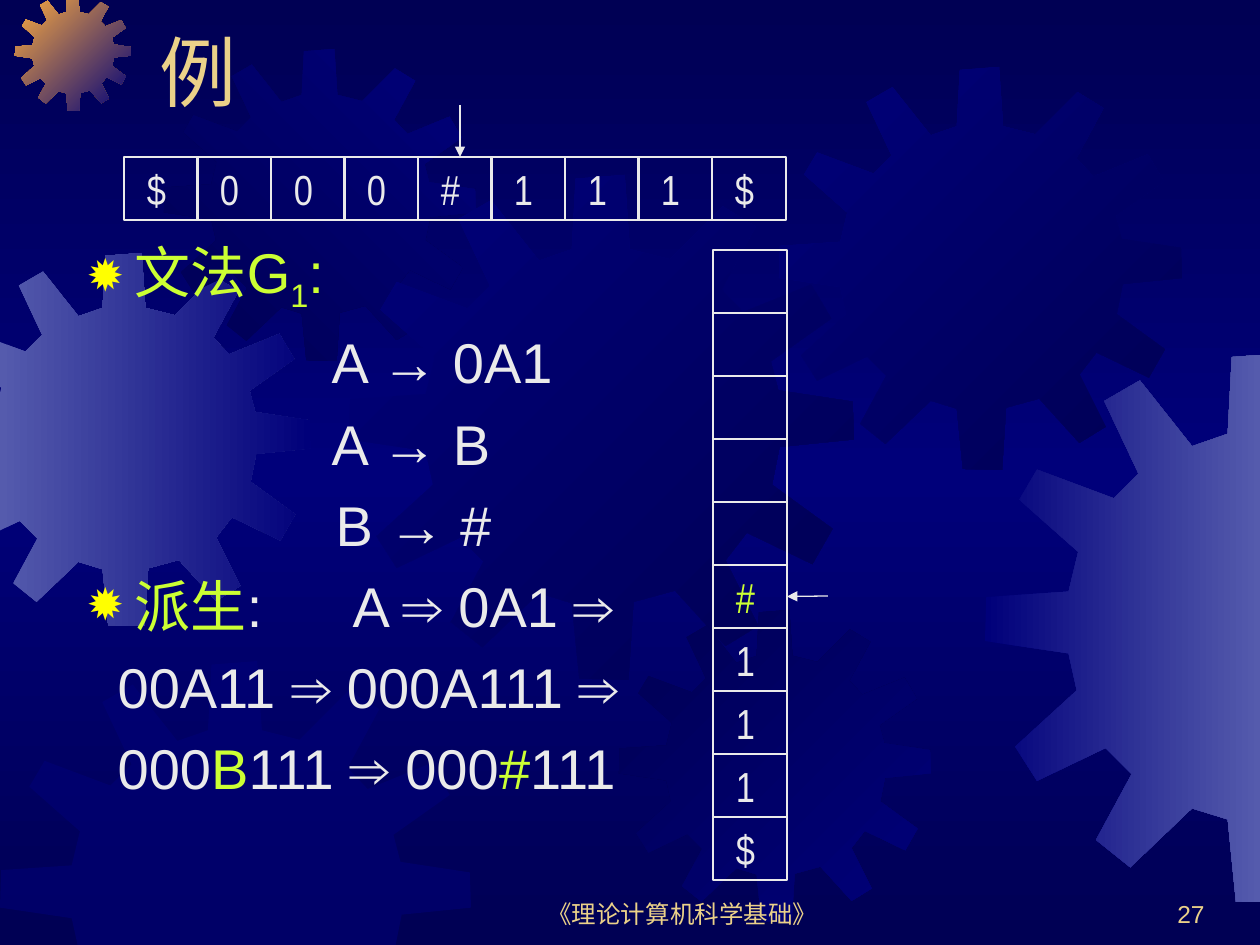
from copy import deepcopy
from dataclasses import dataclass

from lxml.etree import SubElement
from pptx import Presentation
from pptx.dml.color import RGBColor
from pptx.enum.shapes import MSO_CONNECTOR, MSO_SHAPE
from pptx.enum.text import MSO_ANCHOR, MSO_AUTO_SIZE, PP_ALIGN
from pptx.oxml.ns import qn
from pptx.util import Pt

EMU_PER_PX = 914400 / 126
SLIDE_WIDTH, SLIDE_HEIGHT = 1260, 945
NAVY, BLUE, HAZE, ORANGE = "000054", "00007A", "555BAD", "FCAB40"
WHITE, GOLD, LIME, YELLOW = "EAEAEA", "EBD189", "CCFF33", "FFFF00"

GEAR_SIZE = 401
GEAR_OUTLINE = [
    (255, 67), (223, 59), (219, 0), (180, 3), (177, 59), (151, 68), (113, 20), (87, 35),
    (112, 88), (94, 106), (38, 85), (25, 107), (68, 145), (61, 174), (1, 178), (0, 210),
    (61, 219), (67, 246), (22, 287), (38, 312), (88, 288), (107, 307), (81, 355), (106, 375),
    (151, 332), (177, 340), (183, 400), (222, 401), (226, 339), (259, 330), (299, 374),
    (325, 358), (299, 306), (316, 284), (368, 309), (384, 281), (336, 246), (342, 216),
    (401, 210), (400, 180), (341, 171), (335, 148), (383, 114), (367, 87), (313, 109),
    (296, 91), (323, 41), (297, 25),
]


@dataclass(frozen=True)
class Gear:
    left: int
    top: int
    size: int
    colors: tuple[str, ...]
    angle: int = 0


@dataclass(frozen=True)
class Line:
    """A body line: (text, colour, baseline) runs, with an indent or a bullet."""
    runs: tuple[tuple[str, str, int], ...]
    indent: int = 48
    bullet: bool = False
    tab: int = 0


GEARS = [
    Gear(-62, 253, 373, (HAZE, BLUE)),
    Gear(15, -5, 116, (ORANGE, BLUE), 315),
    Gear(164, 49, 312, (NAVY, BLUE), 45),
    Gear(349, 175, 505, (BLUE, NAVY), 315),
    Gear(0, 661, 471, (BLUE,)),
    Gear(619, 610, 312, (NAVY, BLUE), 315),
    Gear(779, 67, 403, (BLUE, NAVY), 315),
    Gear(985, 353, 550, (BLUE, HAZE)),
]

LINES = [
    Line((("文法G", LIME, 0), ("1", LIME, -25), (":", LIME, 0)), bullet=True),
    Line((("A → 0A1", WHITE, 0),), indent=245),
    Line((("A → B", WHITE, 0),), indent=245),
    Line((("B → #", WHITE, 0),), indent=249),
    Line((("派生", LIME, 0), (":\tA ⇒ 0A1 ⇒", WHITE, 0)), bullet=True, tab=266),
    Line((("00A11 ⇒ 000A111 ⇒", WHITE, 0),), indent=31),
    Line((("000", WHITE, 0), ("B", LIME, 0), ("111 ⇒ 000", WHITE, 0),
          ("#", LIME, 0), ("111", WHITE, 0)), indent=31),
]


def px(length: float) -> int:
    return round(length * EMU_PER_PX)


def rgb(color: str) -> RGBColor:
    return RGBColor.from_string(color)


def add_text(paragraph, text: str, *, size: int, color: str, font: str = "Arial", baseline: int = 0):
    run = paragraph.add_run()
    run.text = text
    run.font.size, run.font.name, run.font.bold = Pt(size), font, False
    run.font.color.rgb = rgb(color)
    if baseline:
        run.font._element.set("baseline", str(baseline * 1000))


def fill_gradient(fill, colors: tuple[str, ...], angle: int):
    fill.gradient()
    fill.gradient_angle = angle
    for stop, color, position in zip(fill.gradient_stops, colors, (0, 1)):
        stop.color.rgb = rgb(color)
        stop.position = position


def paint_background(slide):
    fill = slide.background.fill
    fill_gradient(fill, (NAVY, NAVY), 270)
    first = fill.gradient_stops[0]._gs
    first.addnext(deepcopy(first))
    middle = fill.gradient_stops[1]
    middle.color.rgb, middle.position = rgb(BLUE), 0.5


def clip(points: list, axis: int, limit: int, sign: int) -> list:
    """Keep the part of a polygon where sign * coordinate <= sign * limit."""
    kept = []
    for start, end in zip(points, points[1:] + points[:1]):
        start_inside = sign * start[axis] <= sign * limit
        end_inside = sign * end[axis] <= sign * limit
        if start_inside:
            kept.append(start)
        if start_inside != end_inside:
            share = (limit - start[axis]) / (end[axis] - start[axis])
            kept.append(tuple(a + share * (b - a) for a, b in zip(start, end)))
    return kept


def add_gear(slide, gear: Gear):
    scale = gear.size / GEAR_SIZE
    points = [(gear.left + x * scale, gear.top + y * scale) for x, y in GEAR_OUTLINE]
    for axis, limit, sign in ((0, 0, -1), (0, SLIDE_WIDTH, 1), (1, 0, -1), (1, SLIDE_HEIGHT, 1)):
        points = clip(points, axis, limit, sign)
    points = [(px(x), px(y)) for x, y in points]
    builder = slide.shapes.build_freeform(*points[0])
    builder.add_line_segments(points[1:], close=True)
    shape = builder.convert_to_shape()
    shape.shadow.inherit = False
    shape.line.fill.background()
    if len(gear.colors) > 1:
        fill_gradient(shape.fill, gear.colors, gear.angle)
    else:
        shape.fill.solid()
        shape.fill.fore_color.rgb = rgb(gear.colors[0])
        color = shape._element.spPr.find(qn("a:solidFill"))[0]
        SubElement(color, qn("a:alpha"), val="50000")


def add_cell(slide, left: int, top: int, width: int, text: str, color: str = WHITE):
    shape = slide.shapes.add_shape(MSO_SHAPE.RECTANGLE, px(left), px(top), px(width), px(63))
    shape.shadow.inherit = False
    shape.fill.background()
    shape.line.color.rgb, shape.line.width = rgb(WHITE), Pt(0.75)
    frame = shape.text_frame
    frame.word_wrap = False
    frame.vertical_anchor = MSO_ANCHOR.MIDDLE
    frame.margin_left, frame.margin_right = px(23), 0
    frame.margin_top = frame.margin_bottom = px(6)
    frame.paragraphs[0].alignment = PP_ALIGN.LEFT
    if text:
        add_text(frame.paragraphs[0], text, size=24, color=color, font="Arial Narrow")
    return shape


def add_arrow(slide, start: tuple[int, int], end: tuple[int, int], arrow_end: str):
    connector = slide.shapes.add_connector(MSO_CONNECTOR.STRAIGHT, *map(px, start + end))
    connector.line.color.rgb, connector.line.width = rgb(WHITE), Pt(0.75)
    SubElement(connector.line._get_or_add_ln(), qn(f"a:{arrow_end}"), type="triangle")
    SubElement(connector._element.spPr, qn("a:effectLst"))
    return connector


def add_footer(slide, left: int, width: int, text: str, alignment: PP_ALIGN):
    frame = slide.shapes.add_textbox(px(left), px(872), px(width), px(63)).text_frame
    frame.word_wrap = True
    frame.vertical_anchor = MSO_ANCHOR.BOTTOM
    frame.paragraphs[0].alignment = alignment
    add_text(frame.paragraphs[0], text, size=14, color=GOLD)


def place_in_front(slide, placeholder, left: int, top: int, width: int, height: int, anchor: MSO_ANCHOR):
    slide.shapes._spTree.append(placeholder._element)
    placeholder.left, placeholder.top = px(left), px(top)
    placeholder.width, placeholder.height = px(width), px(height)
    frame = placeholder.text_frame
    frame.auto_size, frame.vertical_anchor = MSO_AUTO_SIZE.NONE, anchor
    return frame


def add_line(paragraph, line: Line, space_before: int):
    properties = paragraph._p.get_or_add_pPr()
    properties.set("marL", str(px(line.indent)))
    properties.set("indent", str(px(-line.indent if line.bullet else 0)))
    if line.bullet:
        SubElement(SubElement(properties, qn("a:buClr")), qn("a:srgbClr"), val=YELLOW)
        SubElement(properties, qn("a:buSzPct"), val="80000")
        SubElement(properties, qn("a:buChar"), char="✹")
    else:
        SubElement(properties, qn("a:buNone"))
    if line.tab:
        SubElement(SubElement(properties, qn("a:tabLst")), qn("a:tab"), pos=str(px(line.tab)), algn="l")
    paragraph.space_before = Pt(space_before)
    for text, color, baseline in line.runs:
        add_text(paragraph, text, size=32, color=color, baseline=baseline)


def main():
    presentation = Presentation()
    presentation.slide_width, presentation.slide_height = px(SLIDE_WIDTH), px(SLIDE_HEIGHT)
    slide = presentation.slides.add_slide(presentation.slide_layouts[1])
    title_holder, body_holder = slide.shapes.title, slide.placeholders[1]
    paint_background(slide)
    for gear in GEARS:
        add_gear(slide, gear)
    title = place_in_front(slide, title_holder, 147, 0, 1071, 123, MSO_ANCHOR.BOTTOM).paragraphs[0]
    title.alignment = PP_ALIGN.LEFT
    add_text(title, "例", size=44, color=GOLD)
    body = place_in_front(slide, body_holder, 74, 231, 683, 640, MSO_ANCHOR.TOP)
    for index, line in enumerate(LINES):
        paragraph = body.add_paragraph() if index else body.paragraphs[0]
        add_line(paragraph, line, 8 if index else 0)
    for index, symbol in enumerate("$000#111$"):
        add_cell(slide, 124 + index * 147 // 2, 157, 74, symbol)
    add_arrow(slide, (460, 105), (460, 157), "tailEnd")
    stack = [add_cell(slide, 713, 250 + 63 * index, 74, symbol, LIME if symbol == "#" else WHITE)
             for index, symbol in enumerate([""] * 5 + list("#111$"))]
    pointer = add_arrow(slide, (787, 596), (828, 596), "headEnd")
    pointer.begin_connect(stack[5], 3)
    add_footer(slide, 483, 399, "《理论计算机科学基础》", PP_ALIGN.CENTER)
    add_footer(slide, 955, 262, "27", PP_ALIGN.RIGHT)
    presentation.save("out.pptx")


if __name__ == "__main__":
    main()
